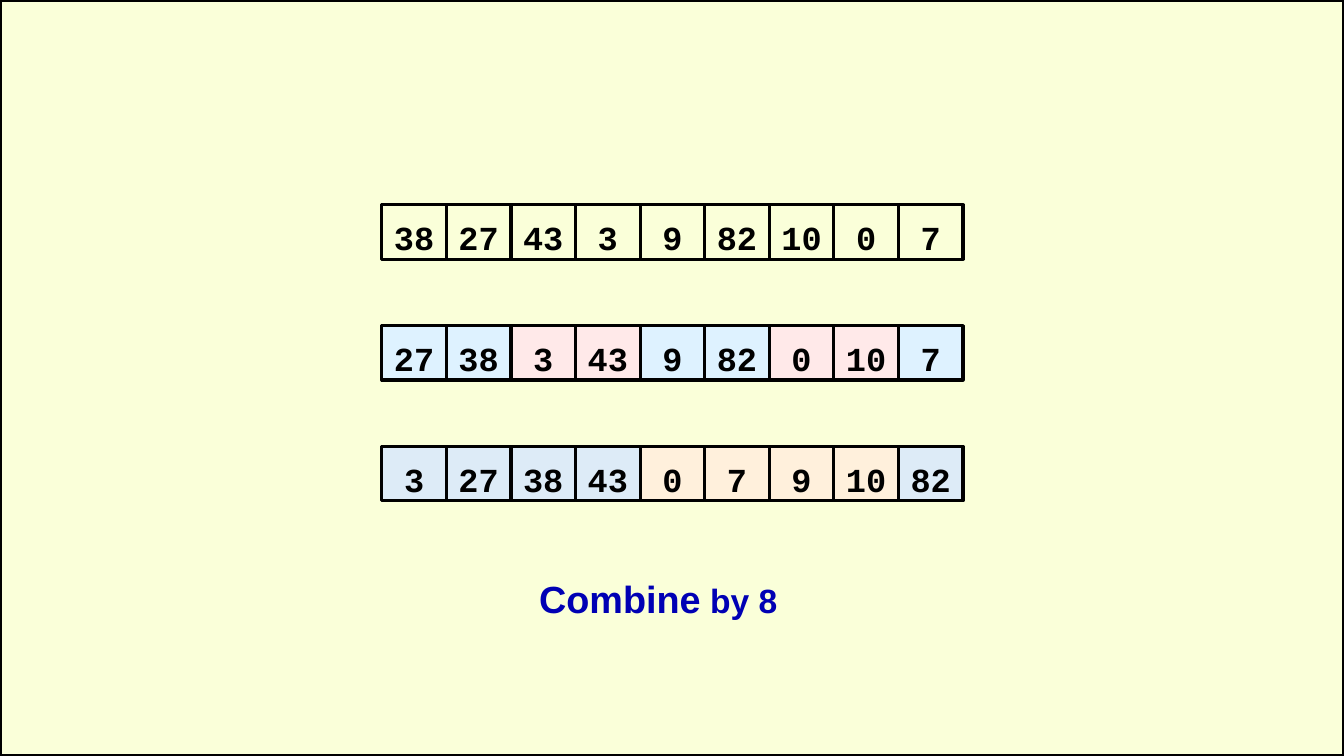
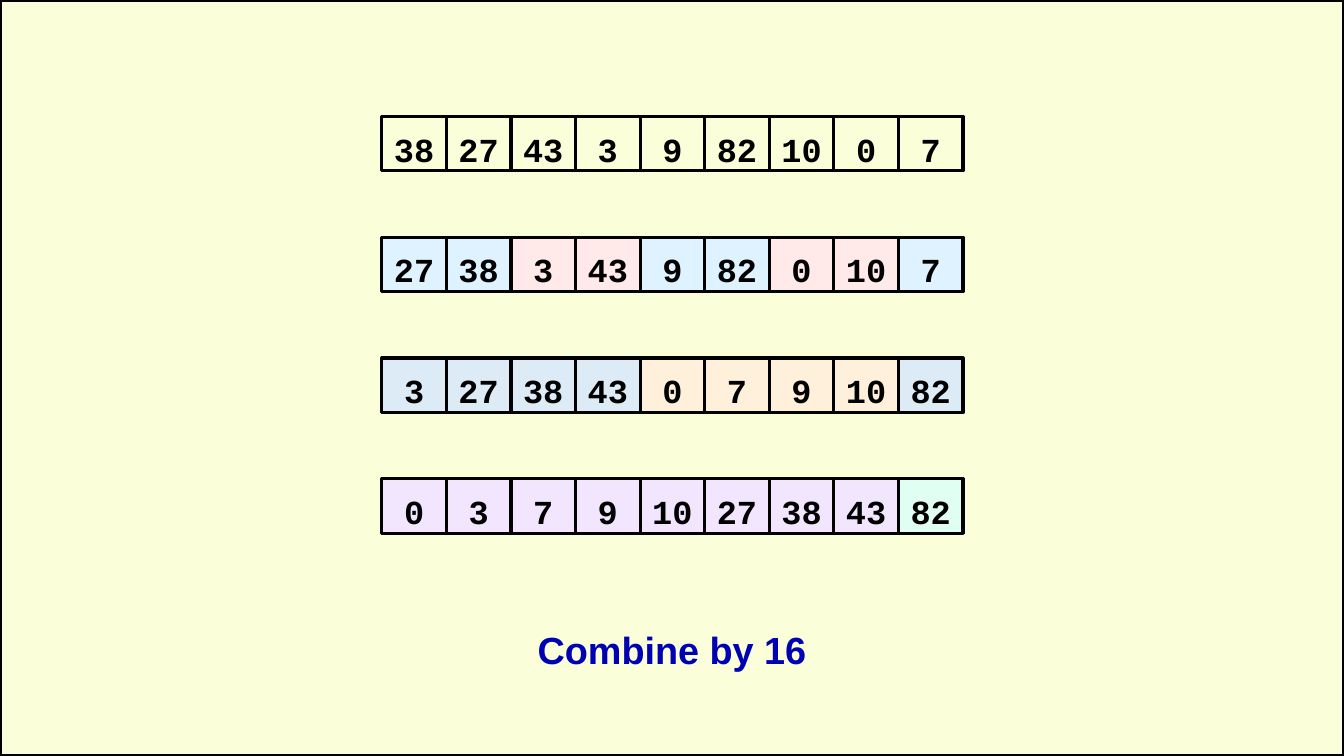
from pptx import Presentation
from pptx.dml.color import RGBColor
from pptx.enum.shapes import MSO_SHAPE
from pptx.enum.text import MSO_ANCHOR, MSO_AUTO_SIZE, PP_ALIGN
from pptx.util import Cm, Pt

RECTANGLE = MSO_SHAPE.RECTANGLE
MIDDLE, TOP = MSO_ANCHOR.MIDDLE, MSO_ANCHOR.TOP
CENTER = PP_ALIGN.CENTER
GROW = MSO_AUTO_SIZE.SHAPE_TO_FIT_TEXT

COLORS = {
    "paper": "FAFFD9", "ink": "000000", "caption": "0000B4",
    "sky": "DEF2FF", "rose": "FFE9E9",
    "steel": "DDEBF7", "peach": "FFF0DC",
    "lilac": "F2E6FF", "mint": "E0FFF2",
}

MERGE_PASSES = [
    {"run_length": 1, "colors": ("paper", "paper"), "numbers": (38, 27, 43, 3, 9, 82, 10, 0, 7)},
    {"run_length": 2, "colors": ("sky", "rose"), "numbers": (27, 38, 3, 43, 9, 82, 0, 10, 7)},
    {"run_length": 4, "colors": ("steel", "peach"), "numbers": (3, 27, 38, 43, 0, 7, 9, 10, 82)},
    {"run_length": 8, "colors": ("lilac", "mint"), "numbers": (0, 3, 7, 9, 10, 27, 38, 43, 82)},
]

STEPS = [
    {"passes": 3, "top": 6.88, "caption": [("Combine", 36), (" by 8", 32)], "caption_at": (-0.46, 19.08)},
    {"passes": 4, "top": 3.91, "caption": [("Combine by 16", 36)], "caption_at": (0, 20.78)},
]

SLIDE_WIDTH, SLIDE_HEIGHT = 45.16, 25.4
CELL_WIDTH, CELL_HEIGHT = 2.17, 1.83
ARRAY_LEFT, PASS_PITCH = 12.83, 4.06
CAPTION_HEIGHT = 1.8

NUMBER_FONT = {"name": "Courier New", "size": Pt(32), "bold": True}
CAPTION_FONT = {"name": "Arial", "bold": True}
NUMBER_FRAME = {"vertical_anchor": MIDDLE, "word_wrap": True, "margin_left": 0,
                "margin_right": 0, "margin_top": Cm(0.34), "margin_bottom": 0}
CAPTION_FRAME = {"vertical_anchor": TOP, "word_wrap": True, "auto_size": GROW,
                 "margin_top": Cm(0.26), "margin_bottom": 0}


def rgb(color):
    return RGBColor.from_string(COLORS[color])


def apply_format(target, values):
    for attribute, value in values.items():
        setattr(target, attribute, value)


def add_box(shapes, left, top, width, height, fill=None):
    box = shapes.add_shape(RECTANGLE, Cm(left), Cm(top), Cm(width), Cm(height))
    box.shadow.inherit = False
    if fill:
        box.fill.solid()
        box.fill.fore_color.rgb = rgb(fill)
    else:
        box.fill.background()
    box.line.color.rgb = rgb("ink")
    box.line.width = Pt(3)
    return box


def write(frame, runs, frame_format, font_format, color):
    apply_format(frame, frame_format)
    paragraph = frame.paragraphs[0]
    paragraph.alignment = CENTER
    for words, size in runs:
        run = paragraph.add_run()
        run.text = words
        apply_format(run.font, {**font_format, "size": Pt(size)})
        run.font.color.rgb = rgb(color)


def add_pass(slide, merge_pass, top):
    array = slide.shapes.add_group_shape()
    for index, number in enumerate(merge_pass["numbers"]):
        fill = merge_pass["colors"][index // merge_pass["run_length"] % 2]
        cell = add_box(array.shapes, ARRAY_LEFT + index * CELL_WIDTH, top,
                       CELL_WIDTH, CELL_HEIGHT, fill)
        write(cell.text_frame, [(str(number), 32)], NUMBER_FRAME, NUMBER_FONT, "ink")


def add_step(deck, step):
    slide = deck.slides.add_slide(deck.slide_layouts[6])
    slide.background.fill.solid()
    slide.background.fill.fore_color.rgb = rgb("paper")
    add_box(slide.shapes, 0, 0, SLIDE_WIDTH, SLIDE_HEIGHT)
    for row, merge_pass in enumerate(MERGE_PASSES[:step["passes"]]):
        add_pass(slide, merge_pass, step["top"] + row * PASS_PITCH)
    left, top = step["caption_at"]
    caption = slide.shapes.add_textbox(Cm(left), Cm(top), Cm(SLIDE_WIDTH), Cm(CAPTION_HEIGHT))
    write(caption.text_frame, step["caption"], CAPTION_FRAME, CAPTION_FONT, "caption")


def main():
    deck = Presentation()
    apply_format(deck, {"slide_width": Cm(SLIDE_WIDTH), "slide_height": Cm(SLIDE_HEIGHT)})
    for step in STEPS:
        add_step(deck, step)
    deck.save("out.pptx")


if __name__ == "__main__":
    main()
